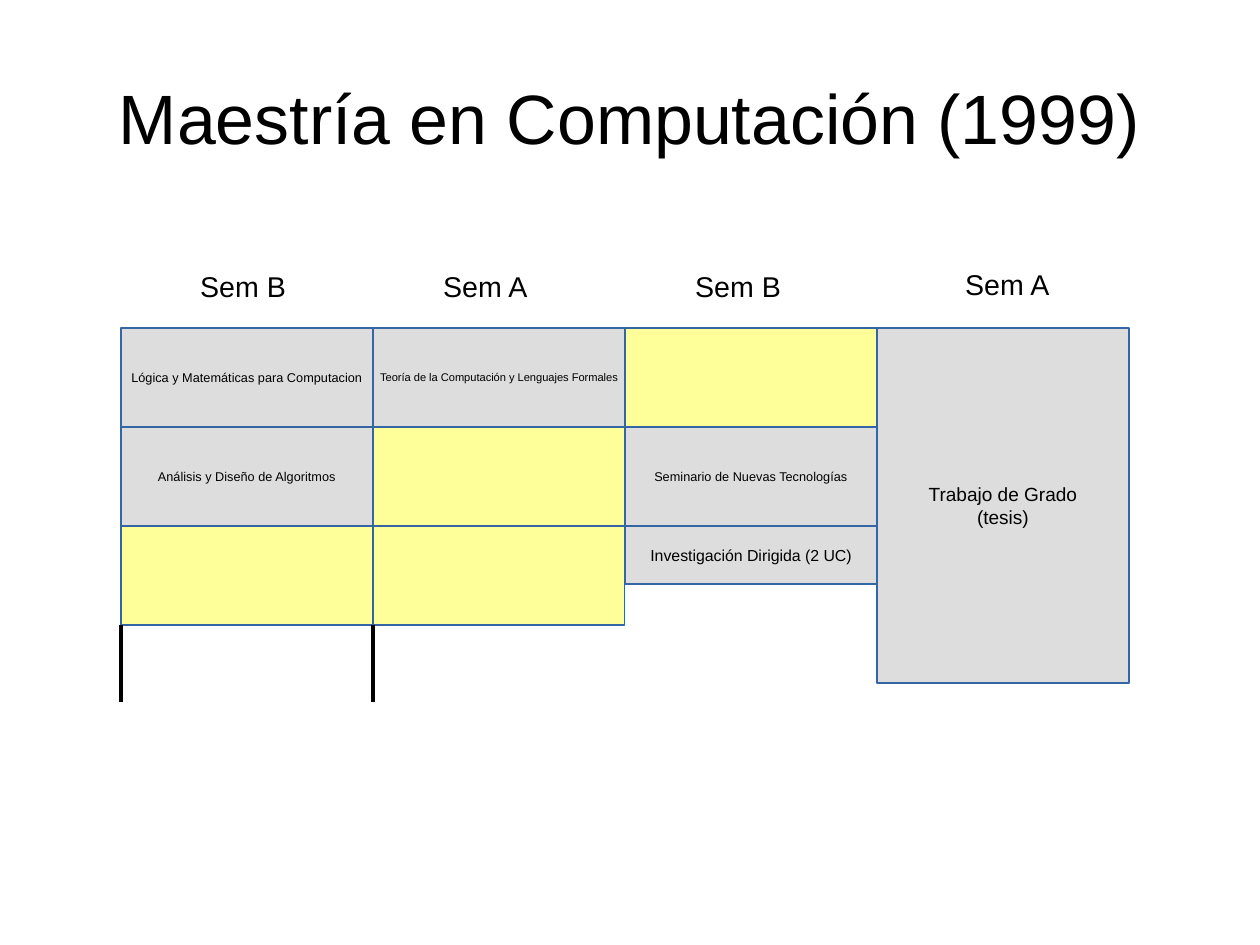
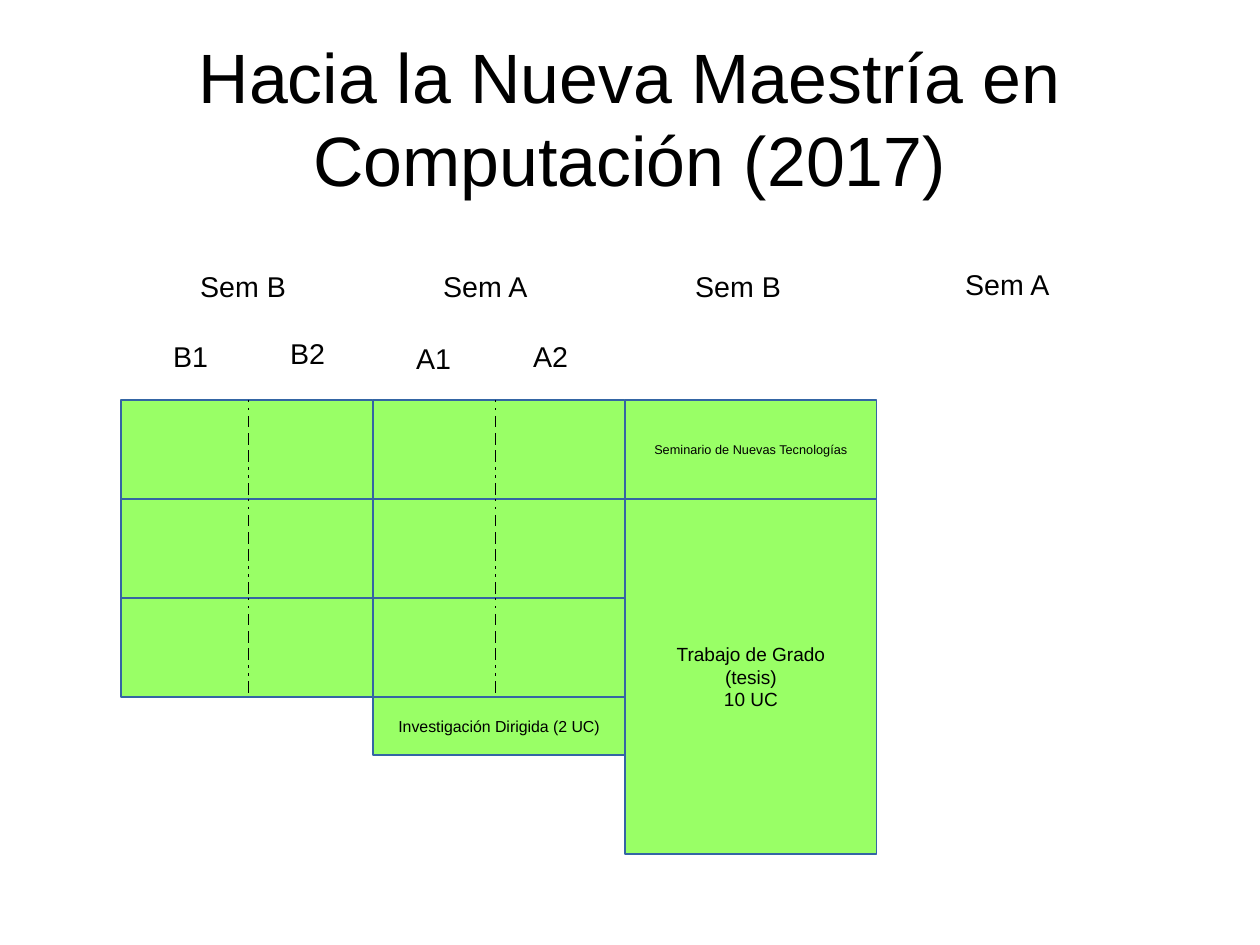
from lxml import etree
from pptx import Presentation
from pptx import util as u
from pptx.dml.color import RGBColor
from pptx.enum import shapes, text
from pptx.oxml.ns import qn

PX = 8000
FONT = "Arial"
BLACK = RGBColor(0x00, 0x00, 0x00)
BORDER = RGBColor(0x34, 0x65, 0xA4)
GRAY = RGBColor(0xDD, 0xDD, 0xDD)
YELLOW = RGBColor(0xFF, 0xFF, 0x99)
GREEN = RGBColor(0x99, 0xFF, 0x66)

LEFT, COLUMN, ROW, SHORT = 121, 252, 99, 58
TALL = 3 * ROW + SHORT
SEMINAR = ["Seminario de Nuevas Tecnologías"]
RESEARCH = ["Investigación Dirigida (2 UC)"]
THESIS = ["Trabajo de Grado", "(tesis)"]

SEMESTERS = [("Sem B", 189, 263), ("Sem A", 432, 263),
             ("Sem B", 684, 263), ("Sem A", 954, 261)]
HALVES = [("B1", 162, 333), ("B2", 279, 330), ("A1", 405, 335), ("A2", 522, 333)]

# column, row, height, fill, lines, text size
SLIDES = [
    {
        "title": "Maestría en Computación (1999)",
        "top": 328,
        "courses": [
            (0, 0, ROW, GRAY, ["Lógica y Matemáticas para Computacion"], 8),
            (0, 1, ROW, GRAY, ["Análisis y Diseño de Algoritmos"], 8),
            (1, 0, ROW, GRAY, ["Teoría de la Computación y Lenguajes Formales"], 7),
            (1, 1, ROW, YELLOW, [], 8),
            (1, 2, ROW, YELLOW, [], 8),
            (2, 0, ROW, YELLOW, [], 8),
            (2, 1, ROW, GRAY, SEMINAR, 8),
            (2, 2, SHORT, GRAY, RESEARCH, 10),
            (3, 0, TALL, GRAY, THESIS, 12),
            (0, 2, ROW, YELLOW, [], 8),
        ],
        "halves": [],
        "lines": [(LEFT + COLUMN * column, 625, 77, 0, False) for column in range(2)],
    },
    {
        "title": "Hacia la Nueva Maestría en Computación (2017)",
        "top": 400,
        "courses": [
            (1, 1, ROW, GREEN, [], 8),
            (1, 2, ROW, GREEN, [], 8),
            (2, 0, ROW, GREEN, SEMINAR, 8),
            (1, 3, SHORT, GREEN, RESEARCH, 10),
            (2, 1, TALL, GREEN, THESIS + ["10 UC"], 12),
            (0, 2, ROW, GREEN, [], 8),
            (0, 0, ROW, GREEN, [], 8),
            (0, 1, ROW, GREEN, [], 8),
            (1, 0, ROW, GREEN, [], 8),
        ],
        "halves": HALVES,
        "lines": [(x, 400 + ROW * row, ROW, 0.57, True)
                  for x in (248, 495) for row in range(3)],
    },
]
DASHES = [(255, 635)] * 2 + [(1270, 635)] * 3


def px(*lengths):
    return [u.Emu(length * PX) for length in lengths]


def write(frame, lines, size, align):
    for index, line in enumerate(lines):
        para = frame.paragraphs[0] if index == 0 else frame.add_paragraph()
        para.alignment = align
        span = para.add_run()
        span.text = line
        span.font.name = FONT
        span.font.size = u.Pt(size)
        span.font.color.rgb = BLACK


def add_title(page, title):
    box = page.shapes.title
    box.left, box.top, box.width, box.height = px(63, 38, 1134, 158)
    frame = box.text_frame
    frame.margin_left = frame.margin_right = frame.margin_top = frame.margin_bottom = 0
    frame.vertical_anchor = text.MSO_ANCHOR.MIDDLE
    frame.word_wrap = True
    write(frame, [title], 44, text.PP_ALIGN.CENTER)


def add_label(page, label, x, y, width):
    frame = page.shapes.add_textbox(*px(x, y, width, 43)).text_frame
    frame.word_wrap = True
    frame.auto_size = text.MSO_AUTO_SIZE.SHAPE_TO_FIT_TEXT
    write(frame, [label], 18, text.PP_ALIGN.LEFT)


def add_course(page, top, column, row, height, fill, lines, size):
    box = page.shapes.add_shape(
        shapes.MSO_SHAPE.RECTANGLE,
        *px(LEFT + COLUMN * column, top + ROW * row, COLUMN, height))
    box.shadow.inherit = False
    box.fill.solid()
    box.fill.fore_color.rgb = fill
    box.line.color.rgb = BORDER
    box.line.width = 0
    box.text_frame.word_wrap = False
    box.text_frame.vertical_anchor = text.MSO_ANCHOR.MIDDLE
    write(box.text_frame, lines, size, text.PP_ALIGN.CENTER)


def add_line(page, x, y, height, width, dashed):
    line = page.shapes.add_connector(
        shapes.MSO_CONNECTOR.STRAIGHT, *px(x, y, x, y + height))
    line.line.color.rgb = BLACK
    line.line.width = u.Pt(width)
    properties = line._element.spPr
    if dashed:
        pattern = etree.SubElement(properties.find(qn("a:ln")), qn("a:custDash"))
        for dash, gap in DASHES:
            etree.SubElement(pattern, qn("a:ds"), d=str(dash * 1000), sp=str(gap * 1000))
    etree.SubElement(properties, qn("a:effectLst"))


def main():
    deck = Presentation()
    deck.slide_width, deck.slide_height = px(1260, 945)
    for content in SLIDES:
        page = deck.slides.add_slide(deck.slide_layouts[5])
        add_title(page, content["title"])
        for course in content["courses"]:
            add_course(page, content["top"], *course)
        for label, x, y in SEMESTERS:
            add_label(page, label, x, y, 117)
        for line in content["lines"]:
            add_line(page, *line)
        for label, x, y in content["halves"]:
            add_label(page, label, x, y, 63)
    deck.save("out.pptx")


if __name__ == "__main__":
    main()
